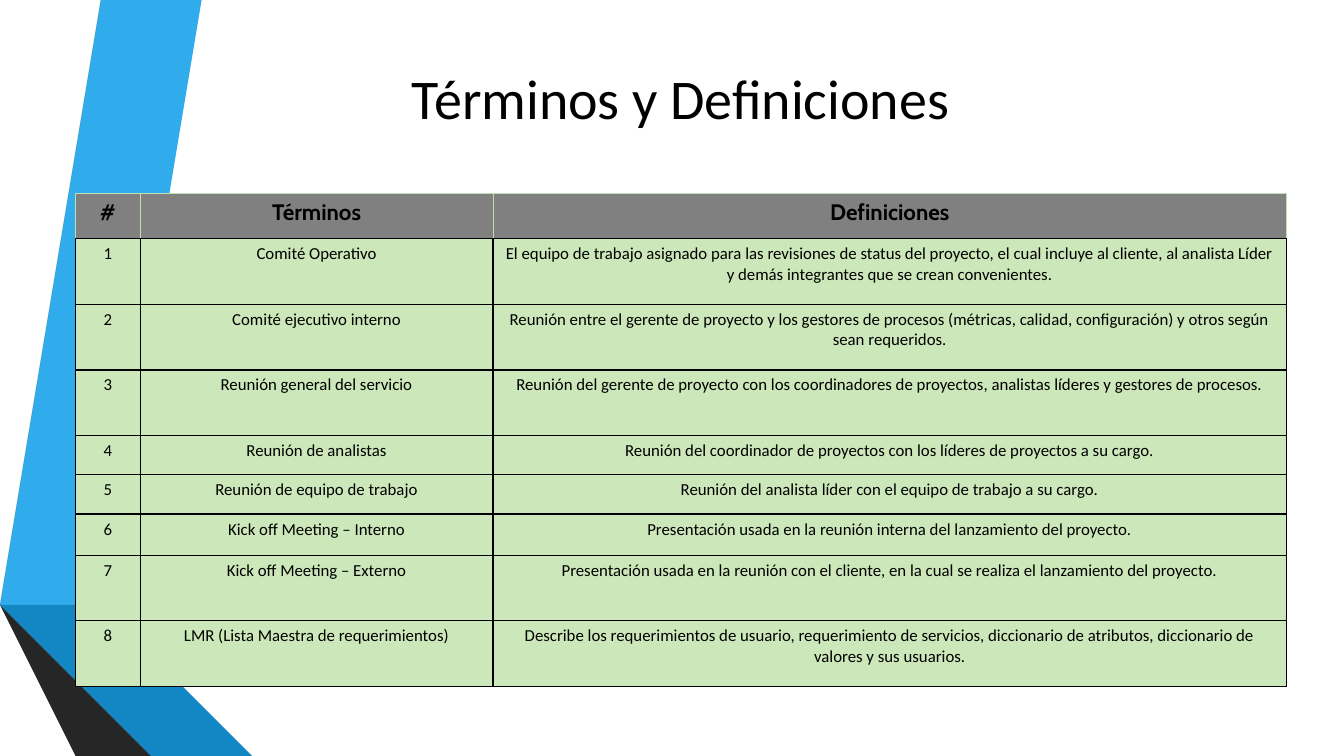
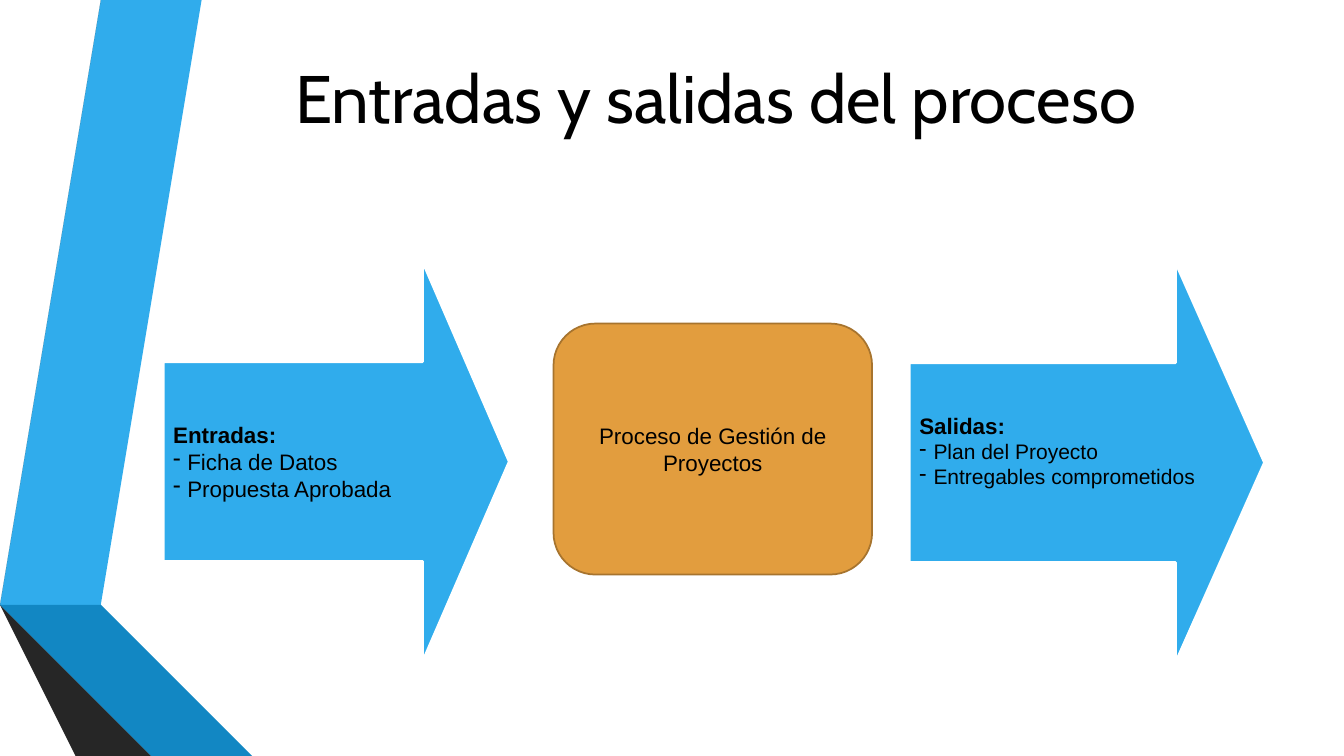
from lxml.etree import SubElement
from pptx import Presentation
from pptx.dml.color import RGBColor
from pptx.enum.shapes import MSO_SHAPE as Preset
from pptx.enum.text import MSO_ANCHOR as Anchor, PP_ALIGN as Align
from pptx.oxml import parse_xml
from pptx.oxml.ns import nsdecls, qn
from pptx.util import Inches, Pt

BLACK = RGBColor(0x00, 0x00, 0x00)
WHITE = RGBColor(0xFF, 0xFF, 0xFF)
SKY = RGBColor(0x30, 0xAC, 0xEC)
BLUE = RGBColor(0x12, 0x87, 0xC3)
NAVY = RGBColor(0x0C, 0x5A, 0x82)
GRAY = RGBColor(0x59, 0x59, 0x59)
CHARCOAL = RGBColor(0x40, 0x40, 0x40)
SOOT = RGBColor(0x26, 0x26, 0x26)
HEADER_GRAY = RGBColor(0x80, 0x80, 0x80)
HEADER_EDGE = RGBColor(0xC0, 0xDE, 0xB3)
CELL_GREEN = RGBColor(0xCC, 0xE7, 0xB9)
ORANGE = RGBColor(0xE2, 0x9D, 0x3E)
BROWN = RGBColor(0xA7, 0x74, 0x2E)

WIDTH, HEIGHT = 13.33, 7.5
TITLE_WIDTH, TITLE_HEIGHT = 10.96, 1.92

BANDS = [
    (SKY, [(0.5, 5.78), (0.77, 5.83), (1.73, 0), (1.45, 0)]),
    (GRAY, [(1.39, 0), (1.11, 0), (0.16, 5.73), (0.44, 5.77)]),
    (SOOT, [(0.16, 5.73), (1.45, HEIGHT), (1.51, HEIGHT)]),
    (NAVY, [(0.5, 5.79), (2.08, HEIGHT), (2.14, HEIGHT)]),
    (BLUE, [(0.5, 5.78), (2.14, HEIGHT), (2.83, HEIGHT), (0.77, 5.83)]),
    (CHARCOAL, [(2.02, HEIGHT), (0.48, 5.83), (0.44, 5.77), (0.16, 5.73), (1.51, HEIGHT)]),
]

HEADERS = ("#", "Términos", "Definiciones")
COLUMNS = (0.64, 3.5, 7.87)
HEADER_ROW = 0.45
TERMS = [  # row height, term, definition
    (0.65, "Comité Operativo",
     "El equipo de trabajo asignado para las revisiones de status del proyecto, el cual incluye "
     "al cliente, al analista Líder y demás integrantes que se crean convenientes."),
    (0.65, "Comité ejecutivo interno",
     "Reunión entre el gerente de proyecto y los gestores de procesos (métricas, calidad, "
     "configuración) y otros según sean requeridos."),
    (0.65, "Reunión general del servicio",
     "Reunión del gerente de proyecto con los coordinadores de proyectos, analistas líderes y "
     "gestores de procesos."),
    (0.39, "Reunión de analistas",
     "Reunión del coordinador de proyectos con los líderes de proyectos a su cargo."),
    (0.39, "Reunión de equipo de trabajo",
     "Reunión del analista líder con el equipo de trabajo a su cargo."),
    (0.41, "Kick off Meeting – Interno",
     "Presentación usada en la reunión interna del lanzamiento del proyecto."),
    (0.65, "Kick off Meeting – Externo",
     "Presentación usada en la reunión con el cliente, en la cual se realiza el lanzamiento "
     "del proyecto."),
    (0.65, "LMR (Lista Maestra de requerimientos)",
     "Describe los requerimientos de usuario, requerimiento de servicios, diccionario de "
     "atributos, diccionario de valores y sus usuarios."),
]

ARROWS = [  # box, heading, items, item size, bottom inset
    ((1.62, 2.6, 3.43, 3.96), "Entradas:", ["Ficha de Datos", "Propuesta Aprobada"], 16, 0.05),
    ((9.02, 2.61, 3.52, 3.96), "Salidas:", ["Plan del Proyecto", "Entregables comprometidos"],
     15, 0.29),
]
PROCESS_BOX = (5.49, 3.21, 3.16, 2.49)
PROCESS_TEXT = "Proceso de Gestión de Proyectos"


def write(para, text, font, size, bold=False, align=Align.CENTER):
    para.alignment = align
    span = para.add_run()
    span.text = text
    span.font.name = font
    span.font.size = Pt(size)
    span.font.bold = bold
    span.font.color.rgb = BLACK


def paint(shape, fill, line=None, width=0):
    shape.shadow.inherit = False
    shape.fill.solid()
    shape.fill.fore_color.rgb = fill
    if line is None:
        shape.line.fill.background()
    else:
        shape.line.color.rgb = line
        shape.line.width = Pt(width)


def add_bands(layout, slide):
    """Build the bands on a slide, then move them to the back of its layout."""
    for holder in list(layout.placeholders)[1:]:
        layout.shapes.element.remove(holder.element)
    bands = []
    for color, points in BANDS:
        outline = slide.shapes.build_freeform(*points[0], scale=Inches(1))
        outline.add_line_segments(points[1:], close=True)
        band = outline.convert_to_shape()
        paint(band, color)
        bands.append(band)
    for depth, band in enumerate(bands, start=2):
        layout.shapes.element.insert(depth, band.element)


def add_page(deck, layout, title, left, font, size):
    page = deck.slides.add_slide(layout)
    box = page.shapes.title
    box.left, box.top = Inches(left), 0
    box.width, box.height = Inches(TITLE_WIDTH), Inches(TITLE_HEIGHT)
    box.text_frame.vertical_anchor = Anchor.MIDDLE
    write(box.text_frame.paragraphs[0], title, font, size)
    return page


def set_borders(cell, edges):
    """Add cell borders; edges maps L, R, T, B to (colour, points)."""
    props = cell._tc.get_or_add_tcPr()
    for place, (side, (color, width)) in enumerate(edges.items()):
        props.insert(place, parse_xml(
            f'<a:ln{side} {nsdecls("a")} w="{Pt(width)}"><a:solidFill>'
            f'<a:srgbClr val="{color}"/></a:solidFill></a:ln{side}>'))


def add_terms_table(page):
    heights = [HEADER_ROW] + [height for height, _, _ in TERMS]
    rows = [HEADERS] + [(str(number), term, definition)
                        for number, (_, term, definition) in enumerate(TERMS, start=1)]
    table = page.shapes.add_table(
        len(rows), len(COLUMNS), Inches(0.75), Inches(TITLE_HEIGHT),
        Inches(sum(COLUMNS)), Inches(sum(heights))).table
    table.first_row = table.horz_banding = False
    for column, width in zip(table.columns, COLUMNS):
        column.width = Inches(width)
    pale, dark = (HEADER_EDGE, 0.75), (BLACK, 1)
    for index, (row, height, texts) in enumerate(zip(table.rows, heights, rows)):
        row.height = Inches(height)
        header = index == 0
        edge = pale if header else dark
        for cell, text in zip(row.cells, texts):
            cell.fill.solid()
            cell.fill.fore_color.rgb = HEADER_GRAY if header else CELL_GREEN
            set_borders(cell, {"L": edge, "R": edge, "T": edge, "B": dark})
            para = cell.text_frame.paragraphs[0]
            if header:
                write(para, text, "Cabin", 16, bold=True)
            else:
                write(para, text, "Calibri", 12)


def add_block(page, preset, box, fill, line, width):
    shape = page.shapes.add_shape(preset, *map(Inches, box))
    paint(shape, fill, line, width)
    frame = shape.text_frame
    frame.word_wrap = True
    frame.vertical_anchor = Anchor.MIDDLE
    return shape


def add_dash(para):
    props = para._p.get_or_add_pPr()
    props.set("marL", str(Inches(0.14)))
    props.set("indent", str(-Inches(0.14)))
    SubElement(props, qn("a:buChar")).set("char", "-")


def add_flow(page):
    for box, heading, items, size, bottom in ARROWS:
        arrow = add_block(page, Preset.RIGHT_ARROW, box, SKY, WHITE, 1.75)
        arrow.adjustments[0], arrow.adjustments[1] = 0.5, 0.25
        frame = arrow.text_frame
        frame.margin_bottom = Inches(bottom)
        write(frame.paragraphs[0], heading, "Arial", 16, bold=True, align=Align.LEFT)
        for item in items:
            para = frame.add_paragraph()
            write(para, item, "Arial", size, align=Align.LEFT)
            add_dash(para)
    process = add_block(page, Preset.ROUNDED_RECTANGLE, PROCESS_BOX, ORANGE, BROWN, 1.25)
    write(process.text_frame.paragraphs[0], PROCESS_TEXT, "Arial", 16)


def main():
    deck = Presentation()
    deck.slide_width, deck.slide_height = Inches(WIDTH), Inches(HEIGHT)
    layout = deck.slide_layouts.get_by_name("Title Only")
    terms = add_page(deck, layout, "Términos y Definiciones", 1.27, "Calibri", 40)
    add_bands(layout, terms)
    add_terms_table(terms)
    add_flow(add_page(deck, layout, "Entradas y salidas del proceso", 1.62, "Cabin", 48))
    deck.save("out.pptx")


if __name__ == "__main__":
    main()
